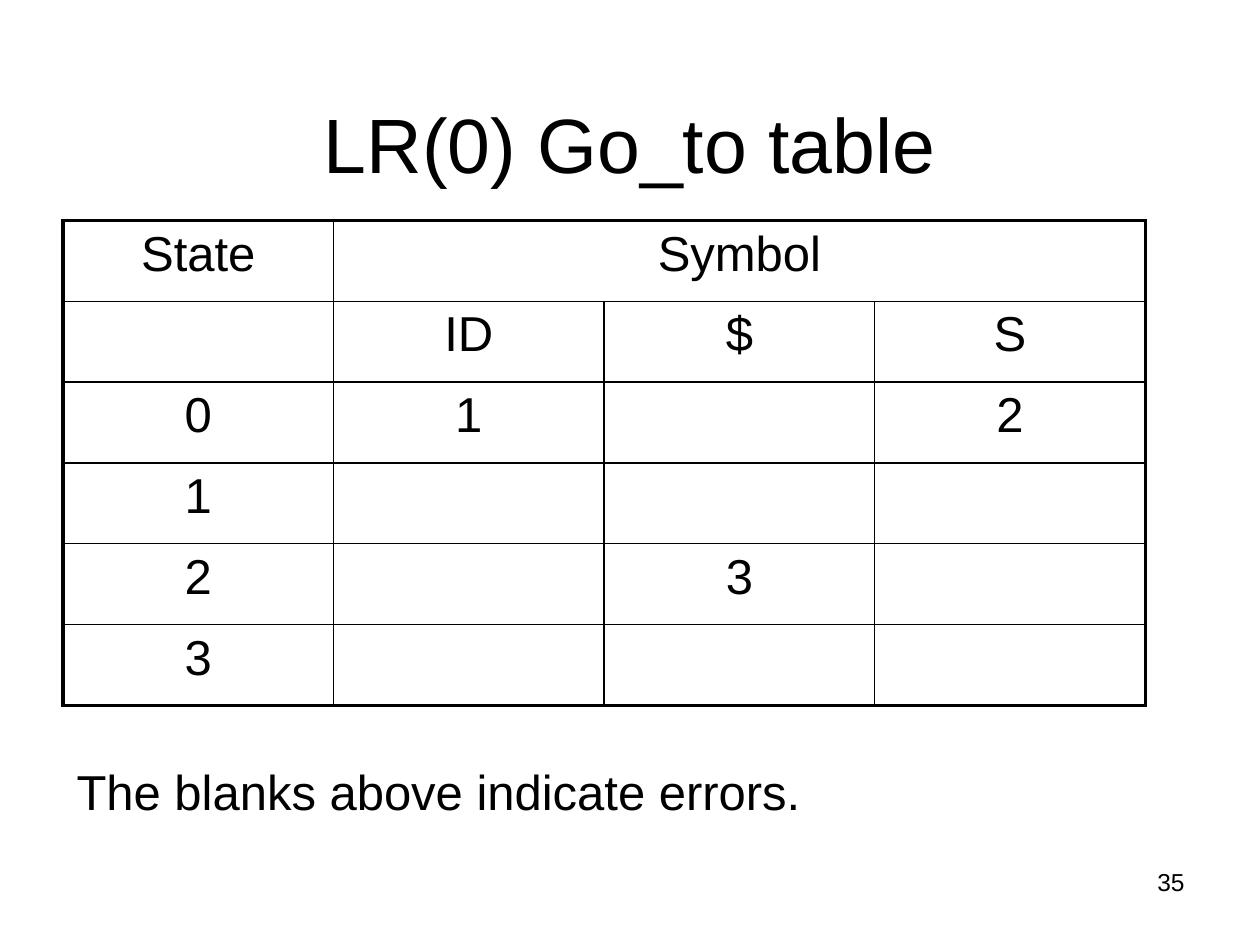
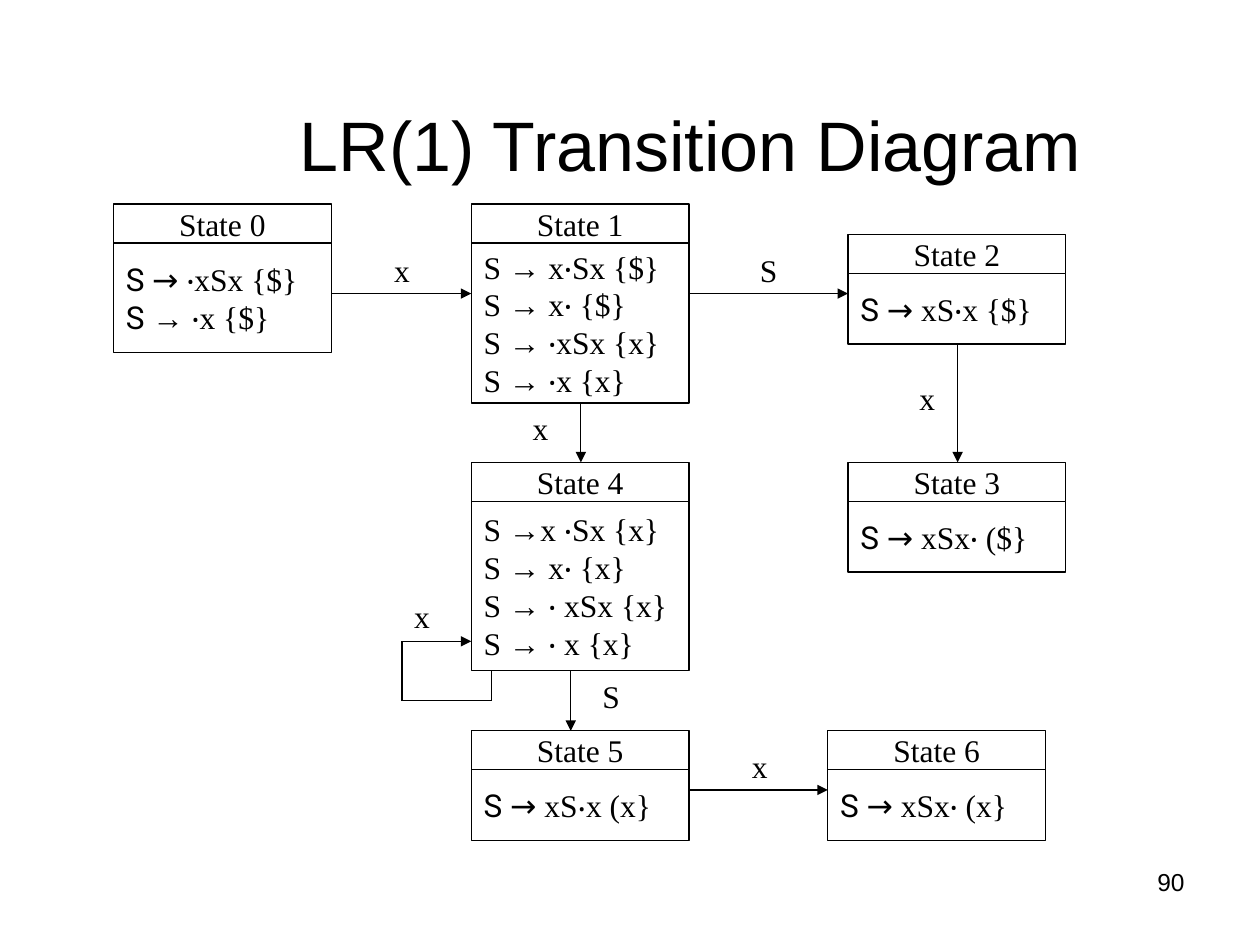
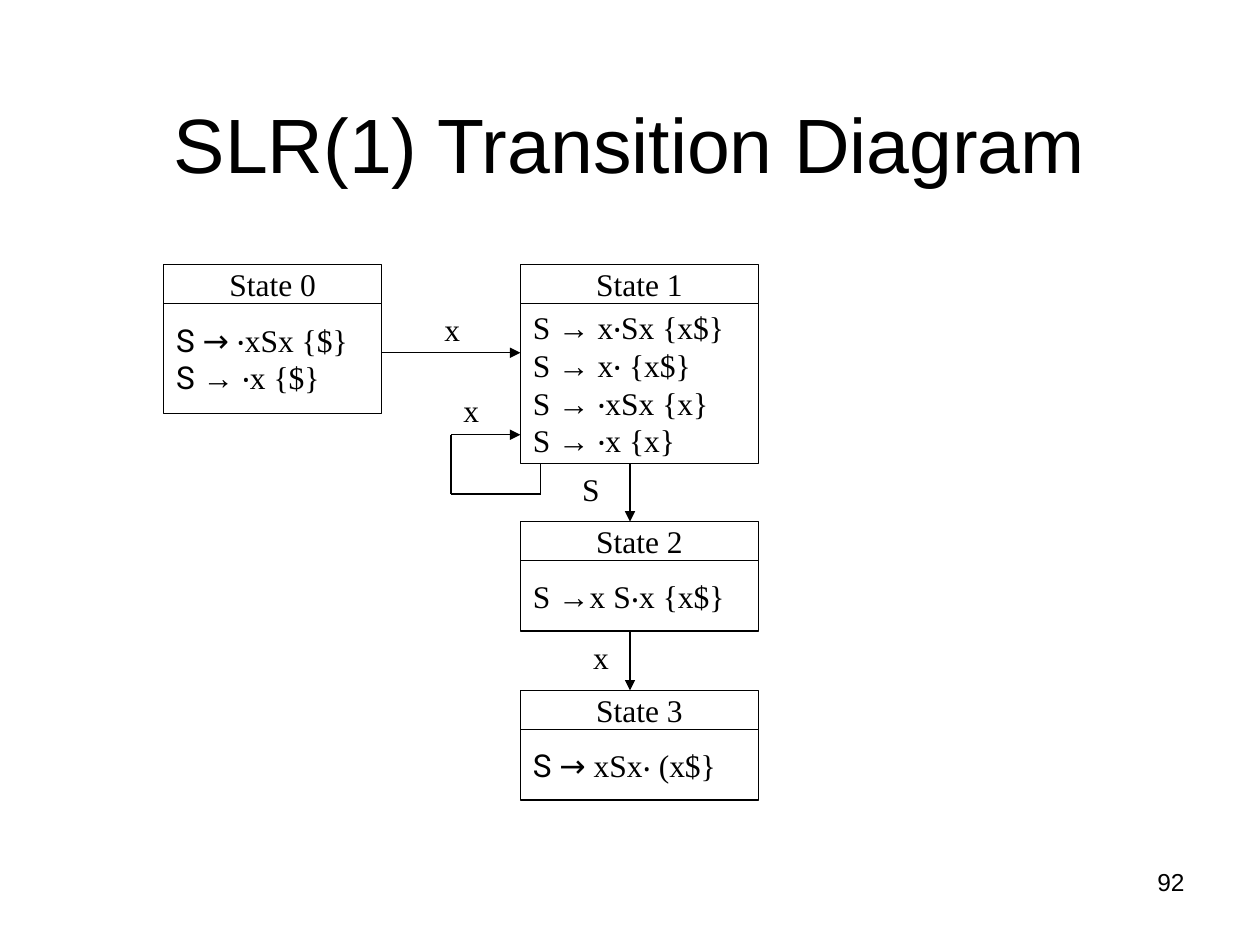
from dataclasses import dataclass

from lxml import etree
from pptx import Presentation
from pptx.dml.color import RGBColor
from pptx.enum import shapes, text
from pptx.oxml import ns
from pptx.util import Inches, Pt

COLORS = {"ink": "000000", "paper": "FFFFFF"}
SANS, SERIF, SYMBOL = "Arial", "Times New Roman", "Roboto"
LEFT, CENTER, RIGHT = text.PP_ALIGN.LEFT, text.PP_ALIGN.CENTER, text.PP_ALIGN.RIGHT

TITLE_BOX = (0.5, 0.3, 9, 1.25)
NUMBER_BOX = (7.17, 6.83, 2.33, 0.52)
HEADER_HEIGHT = 0.31
LABEL_SIZE = (0.32, 0.24)
STATE_HEIGHT = {1: 0.87, 2: 1.18, 4: 1.58}  # by number of items
THIN, THICK = 1, 2.25

START_ITEMS = [
    [("S → ", SYMBOL), ("‧xSx {$}", SERIF)],
    [("S ", SYMBOL), ("→ ‧x {$}", SERIF)],
]


@dataclass
class Box:
    left: float
    top: float
    width: float
    height: float

    @property
    def right(self):
        return self.left + self.width

    @property
    def bottom(self):
        return self.top + self.height

    def lengths(self):
        return [Inches(n) for n in (self.left, self.top, self.width, self.height)]


def color(name):
    return RGBColor.from_string(COLORS[name])


def write(frame, lines, font, size, align):
    """Fill a frame; a line is a string or a list of (text, font) spans."""
    for index, line in enumerate(lines):
        para = frame.paragraphs[0] if index == 0 else frame.add_paragraph()
        para.alignment = align
        for words, face in [(line, font)] if isinstance(line, str) else line:
            span = para.add_run()
            span.text = words
            span.font.name = face
            span.font.size = Pt(size)
            span.font.color.rgb = color("ink")


def add_text(page, box, words, size, align, anchor=text.MSO_ANCHOR.TOP):
    frame = page.shapes.add_textbox(*box.lengths()).text_frame
    frame.word_wrap = True
    frame.vertical_anchor = anchor
    write(frame, [words], SANS, size, align)
    return frame


def add_page(deck, title, number, title_box=TITLE_BOX, title_size=44):
    page = deck.slides.add_slide(deck.slide_layouts[6])
    add_text(page, Box(*NUMBER_BOX), str(number), 14, RIGHT)
    add_text(page, Box(*title_box), title, title_size, CENTER, text.MSO_ANCHOR.BOTTOM)
    return page


def add_panel(page, box, lines, align, outline="ink"):
    panel = page.shapes.add_shape(shapes.MSO_SHAPE.RECTANGLE, *box.lengths())
    panel.shadow.inherit = False
    panel.fill.solid()
    panel.fill.fore_color.rgb = color("paper")
    panel.line.color.rgb = color(outline)
    panel.line.width = Pt(0.75)
    panel.text_frame.word_wrap = False
    panel.text_frame.vertical_anchor = text.MSO_ANCHOR.MIDDLE
    write(panel.text_frame, lines, SERIF, 18, align)


def add_state(page, left, top, width, number, items, height=None):
    """Draw a state's header over its items and return the whole box."""
    state = Box(left, top, width, height or STATE_HEIGHT[len(items)])
    add_panel(page, Box(left, top, width, HEADER_HEIGHT), [f"State {number}"], CENTER)
    body = Box(left, top + HEADER_HEIGHT, width, state.height - HEADER_HEIGHT)
    add_panel(page, body, items, LEFT)
    return state


def add_label(page, symbol, left, top):
    add_panel(page, Box(left, top, *LABEL_SIZE), [symbol], CENTER, outline="paper")


def add_line(page, start, end, arrow=False):
    line = page.shapes.add_connector(
        shapes.MSO_CONNECTOR.STRAIGHT, *[Inches(n) for n in (*start, *end)])
    line.line.color.rgb = color("ink")
    line.line.width = Pt(0.75)
    if arrow:
        etree.SubElement(line.line._get_or_add_ln(), ns.qn("a:tailEnd"), type="triangle")
    etree.SubElement(line._element.spPr, ns.qn("a:effectLst"))


def go_right(page, source, target, y, symbol, label_left):
    add_line(page, (source.right, y), (target.left, y), arrow=True)
    add_label(page, symbol, label_left, y - 0.31)


def go_down(page, source, target, x, symbol, label_left, label_drop=0.08):
    add_line(page, (x, source.bottom), (x, target.top), arrow=True)
    add_label(page, symbol, label_left, source.bottom + label_drop)


def add_loop(page, state, symbol):
    """Lead from a state's bottom edge back into its left edge."""
    start, far = state.left + 0.16, state.left - 0.55
    low, high = state.bottom + 0.24, state.bottom - 0.23
    corners = [(start, state.bottom), (start, low), (far, low), (far, high),
               (state.left, high)]
    for index in range(4):
        add_line(page, corners[index], corners[index + 1], arrow=index == 3)
    add_label(page, symbol, far, high - 0.32)


def set_borders(cell, widths):
    """Set the left, right, top and bottom border widths in points."""
    properties = cell._tc.get_or_add_tcPr()
    for index, (side, width) in enumerate(zip("LRTB", widths)):
        border = etree.Element(ns.qn(f"a:ln{side}"), w=str(Pt(width)))
        fill = etree.SubElement(border, ns.qn("a:solidFill"))
        etree.SubElement(fill, ns.qn("a:srgbClr"), val=COLORS["ink"])
        properties.insert(index, border)


def add_go_to_table(page, box, rows):
    row_count, column_count = len(rows), len(rows[0])
    table = page.shapes.add_table(row_count, column_count, *box.lengths()).table
    table.first_row = table.horz_banding = False
    for column in table.columns:
        column.width = Inches(box.width / column_count)
    for row in table.rows:
        row.height = Inches(box.height / row_count)
    table.cell(0, 1).merge(table.cell(0, column_count - 1))
    for r, values in enumerate(rows):
        for c, value in enumerate(values):
            cell = table.cell(r, c)
            cell.fill.background()
            last = c + (cell.span_width if cell.is_merge_origin else 1) == column_count
            outer = (c == 0, last, r == 0, r == row_count - 1)
            set_borders(cell, [THICK if edge else THIN for edge in outer])
            if value:
                write(cell.text_frame, [value], SANS, 28, CENTER)


def build_go_to_page(deck):
    page = add_page(deck, "LR(0) Go_to table", 35)
    add_go_to_table(page, Box(0.5, 1.75, 8.59, 3.85), [
        ["State", "Symbol", "", ""],
        ["", "ID", "$", "S"],
        ["0", "1", "", "2"],
        ["1", "", "", ""],
        ["2", "", "3", ""],
        ["3", "", "", ""],
    ])
    note = add_text(page, Box(0.51, 6.05, 6, 0.61),
                    "The blanks above indicate errors.", 28, LEFT)
    note.paragraphs[0].line_spacing = 0.9


def build_lr_page(deck):
    page = add_page(deck, "LR(1) Transition Diagram", 90, (1.22, 0.76, 8.52, 0.76), 40)
    width, middle, right = 1.73, 3.74, 6.73
    state0 = add_state(page, 0.9, 1.62, width, 0, START_ITEMS)
    state1 = add_state(page, middle, 1.62, width, 1, [
        "S → x‧Sx {$}", "S → x‧ {$}", "S → ‧xSx {x}", "S → ‧x {x}"])
    state2 = add_state(page, right, 1.86, width, 2, [
        [("S → ", SYMBOL), ("xS‧x {$}", SERIF)]])
    state3 = add_state(page, right, 3.67, width, 3, [
        [("S → ", SYMBOL), ("xSx‧ ($}", SERIF)]])
    state4 = add_state(page, middle, 3.67, width, 4, [
        "S →x ‧Sx {x}", "S → x‧ {x}", "S → ‧ xSx {x}", "S → ‧ x {x}"], height=1.65)
    state5 = add_state(page, middle, 5.8, width, 5, [
        [("S → ", SYMBOL), ("xS", SERIF), ("‧", SANS), ("x (x}", SERIF)]])
    state6 = add_state(page, 6.57, 5.8, width, 6, [
        [("S → ", SYMBOL), ("xSx‧ (x}", SERIF)]])
    go_right(page, state0, state1, 2.33, "x", 3.03)
    go_right(page, state1, state2, 2.33, "S", 5.94)
    go_right(page, state5, state6, 6.27, "x", 5.87)
    go_down(page, state2, state3, 7.6, "x", 7.2, label_drop=0.31)
    go_down(page, state1, state4, 4.61, "x", 4.13)
    go_down(page, state4, state5, 4.53, "S", 4.69)
    add_loop(page, state4, "x")


def build_slr_page(deck):
    page = add_page(deck, "SLR(1) Transition Diagram", 92)
    left, width = 4.13, 1.89
    state0 = add_state(page, 1.3, 2.1, 1.73, 0, START_ITEMS)
    state1 = add_state(page, left, 2.1, width, 1, [
        "S → x‧Sx {x$}", "S → x‧ {x$}", "S → ‧xSx {x}", "S → ‧x {x}"])
    state2 = add_state(page, left, 4.14, width, 2, [
        [("S →x S", SERIF), ("‧", SANS), ("x {x$}", SERIF)]])
    state3 = add_state(page, left, 5.48, width, 3, [
        [("S → ", SYMBOL), ("xSx", SERIF), ("‧", SANS), (" (x$}", SERIF)]])
    go_right(page, state0, state1, 2.8, "x", 3.43)
    go_down(page, state1, state2, 5, "S", 4.53)
    go_down(page, state2, state3, 5, "x", 4.61)
    add_loop(page, state1, "x")


def main():
    deck = Presentation()
    deck.slide_width, deck.slide_height = Inches(10), Inches(7.5)
    build_go_to_page(deck)
    build_lr_page(deck)
    build_slr_page(deck)
    deck.save("out.pptx")


if __name__ == "__main__":
    main()
